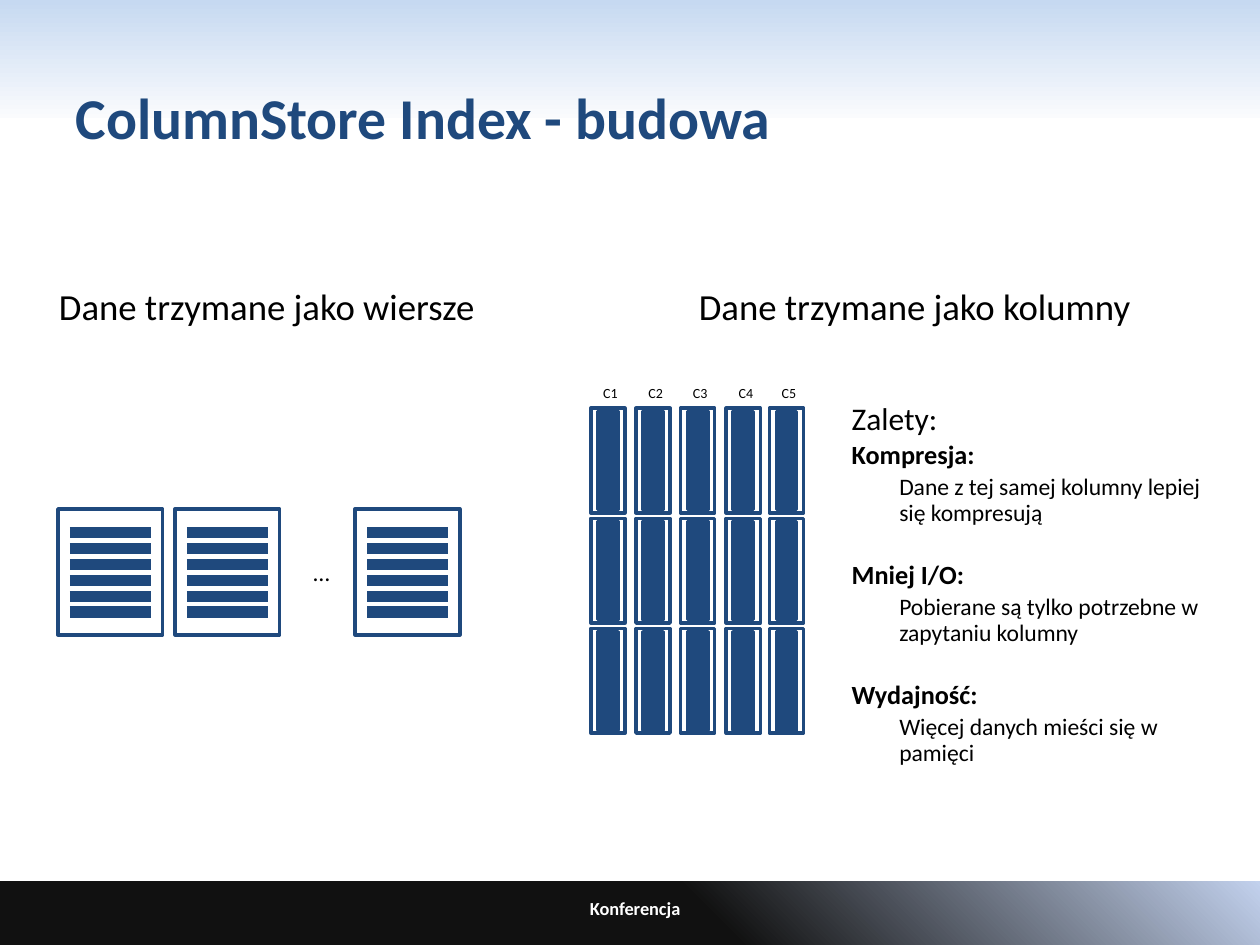
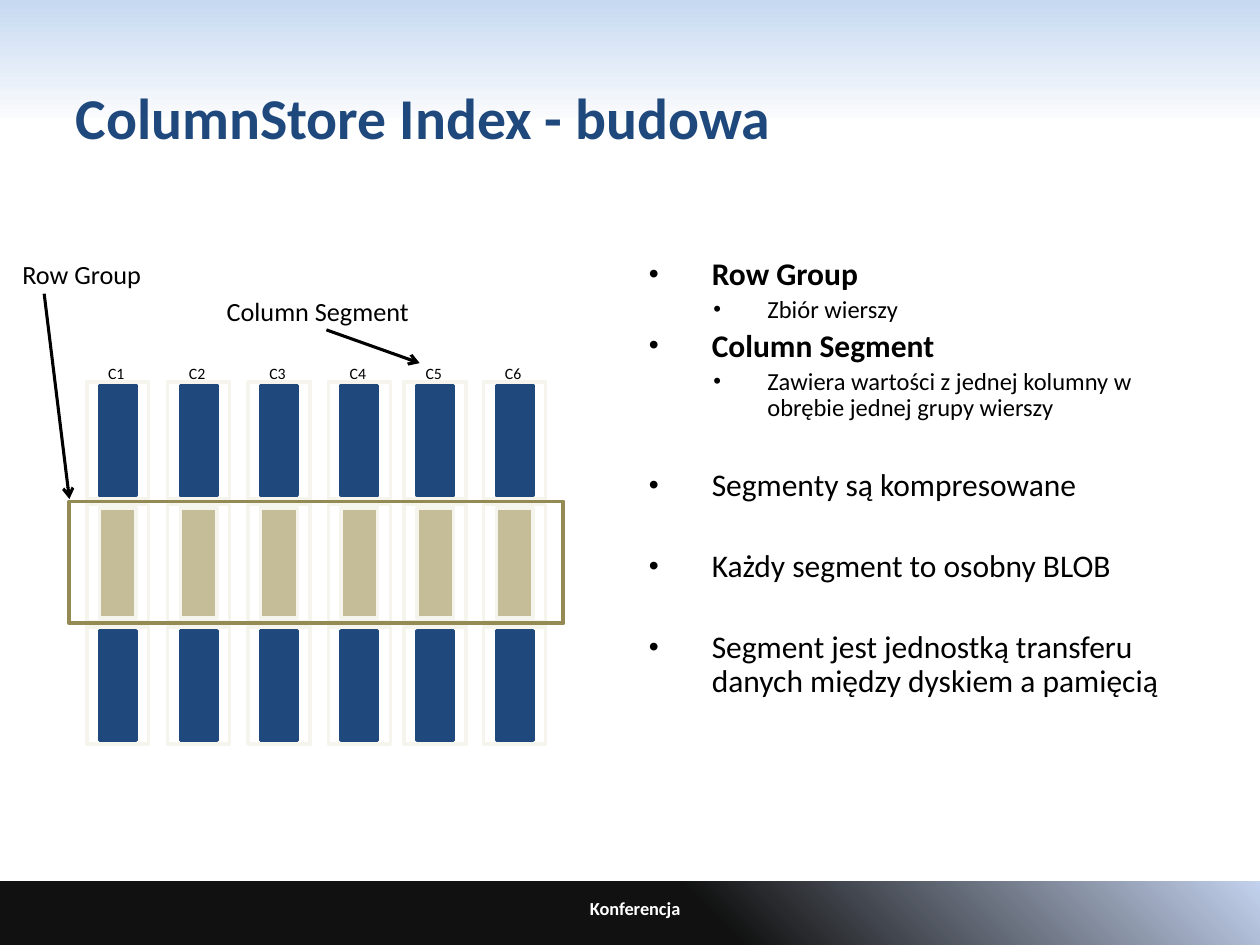
from lxml.etree import SubElement
from pptx import Presentation
from pptx.dml.color import RGBColor
from pptx.enum.shapes import MSO_CONNECTOR, MSO_SHAPE
from pptx.enum.text import MSO_ANCHOR, PP_ALIGN
from pptx.oxml.ns import qn
from pptx.util import Cm, Pt

COLORS = {
    "navy": "1F497D", "tan": "C4BD97", "cream": "F5F4ED", "olive": "948A54",
    "black": "000000", "white": "FFFFFF", "sky": "C6D9F1", "mist": "FAFBFD",
    "ink": "111111", "ice": "C2D1ED",
}


class Deck:
    """Holds the presentation style and the slide being drawn."""

    font = "Calibri"

    def __init__(self):
        self.prs = Presentation()
        self.prs.slide_width, self.prs.slide_height = Cm(25.4), Cm(19.05)
        self.layout = self.prs.slide_layouts[5]
        self.s = None

    def color(self, name):
        """Return the named colour."""
        return RGBColor.from_string(COLORS[name])

    def slide(self, title):
        """Start a slide with its title and footer."""
        first = self.s is None
        self.s = self.prs.slides.add_slide(self.layout)
        if first:
            self.band(0, 2.39, ("sky", "mist"), (0, 1), 270)
            self.band(17.77, 1.28, ("ink", "ice"), (0.56, 1), 45)
        sp = self.s.shapes.title
        sp.left, sp.top, sp.width, sp.height = Cm(1.27), Cm(0.76), Cm(22.86), Cm(3.18)
        sp.text_frame.vertical_anchor = MSO_ANCHOR.MIDDLE
        p = sp.text_frame.paragraphs[0]
        p.alignment = PP_ALIGN.LEFT
        self.run(p, title, 33, True, "navy")
        p = self.label("Konferencja", 7.19, 17.78, 11.23, 1.07, 10.5, True, "white",
                       MSO_ANCHOR.MIDDLE)
        p.alignment = PP_ALIGN.CENTER

    def band(self, top, height, names, positions, angle):
        """Put a full-width gradient band on the shared layout."""
        sp = self.rect(0, top, 25.4, height)
        sp.fill.gradient()
        sp.fill.gradient_angle = angle
        for stop, name, position in zip(sp.fill.gradient_stops, names, positions):
            stop.color.rgb = self.color(name)
            stop.position = position
        self.layout.shapes._spTree.insert(2, sp._element)

    def rect(self, x, y, w, h, fill=None, line=None, weight=2):
        """Add a rectangle."""
        sp = self.s.shapes.add_shape(MSO_SHAPE.RECTANGLE, Cm(x), Cm(y), Cm(w), Cm(h))
        sp.shadow.inherit = False
        if fill:
            sp.fill.solid()
            sp.fill.fore_color.rgb = self.color(fill)
        else:
            sp.fill.background()
        if line:
            sp.line.color.rgb = self.color(line)
            sp.line.width = Pt(weight)
        else:
            sp.line.fill.background()
        return sp

    def line(self, x1, y1, x2, y2, color, weight, arrow=False):
        """Add a straight line, with an arrowhead if asked."""
        c = self.s.shapes.add_connector(MSO_CONNECTOR.STRAIGHT, Cm(x1), Cm(y1), Cm(x2), Cm(y2))
        c.line.color.rgb = self.color(color)
        c.line.width = Pt(weight)
        if arrow:
            SubElement(c.line._get_or_add_ln(), qn("a:tailEnd"), type="arrow")
        SubElement(c._element.spPr, qn("a:effectLst"))

    def run(self, p, text, size, bold=False, color="black"):
        """Add a formatted run."""
        r = p.add_run()
        r.text = text
        r.font.name, r.font.size, r.font.bold = self.font, Pt(size), bold
        r.font.color.rgb = self.color(color)

    def frame(self, x, y, w, h):
        """Add a wrapping text box and return its text frame."""
        tf = self.s.shapes.add_textbox(Cm(x), Cm(y), Cm(w), Cm(h)).text_frame
        tf.word_wrap = True
        return tf

    def label(self, text, x, y, w, h, size, bold=False, color="black", anchor=MSO_ANCHOR.TOP):
        """Add a one-paragraph text and return the paragraph."""
        tf = self.frame(x, y, w, h)
        tf.vertical_anchor = anchor
        p = tf.paragraphs[0]
        self.run(p, text, size, bold, color)
        return p

    def outline(self, x, y, w, h, items, indents, bullet=False):
        """Add two-level text from (level, text, size, bold, gap) items."""
        tf = self.frame(x, y, w, h)
        for i, (level, text, size, bold, gap) in enumerate(items):
            p = tf.add_paragraph() if i else tf.paragraphs[0]
            p.level, p.line_spacing = level, 0.9
            p.space_before = Pt(0.2 * size + gap)
            margin, hanging = indents[level]
            pPr = p._p.get_or_add_pPr()
            pPr.set("marL", str(Cm(margin)))
            pPr.set("indent", str(Cm(-hanging)))
            if bullet:
                SubElement(pPr, qn("a:buSzPct"), val="90000")
                SubElement(pPr, qn("a:buFont"), typeface="Arial")
                SubElement(pPr, qn("a:buChar"), char="•")
            self.run(p, text, size, bold)

    def page(self, x, y):
        """Add a data page filled with rows."""
        self.rect(x, y, 2.11, 2.54, line="navy")
        for i in range(6):
            row_y = y + 0.48 + 0.32 * i
            self.line(x + 0.24, row_y, x + 1.88, row_y, "navy", 6.5)

    def columns(self, lefts, top, step, outer, inner, edge, row_styles, label_y, label_dx, size):
        """Add labelled columns of framed segments."""
        dx, dy = (outer[0] - inner[0]) / 2, (outer[1] - inner[1]) / 2
        for n, x in enumerate(lefts, 1):
            self.label(f"C{n}", x + label_dx, label_y, 1.2, 0.62, size)
            for i, (fill, line) in enumerate(row_styles):
                y = top + i * step
                self.rect(x + dx, y + dy, *inner, fill, line)
                self.rect(x, y, *outer, line=edge)


def storage_slide(deck):
    """Compare row storage with column storage."""
    deck.slide("ColumnStore Index - budowa")
    deck.label("…", 6.07, 11.13, 1, 0.84, 13.5)
    for x in (1.17, 3.53, 7.16):
        deck.page(x, 10.26)
    deck.columns((11.91, 12.82, 13.72, 14.64, 15.51), 8.23, 2.22, (0.69, 2.11), (0.41, 1.98),
                 "navy", [("navy", "navy")] * 3, 7.62, 0, 8)
    deck.outline(16.92, 8, 8, 6.86, [
        (0, "Zalety:", 18, False, 0),
        (0, "Kompresja:", 15, True, 0),
        (1, "Dane z tej samej kolumny lepiej się kompresują", 13.5, False, 0),
        (0, "Mniej I/O:", 15, True, 17.5),
        (1, "Pobierane są tylko potrzebne w zapytaniu kolumny", 13.5, False, 0),
        (0, "Wydajność:", 15, True, 17.5),
        (1, "Więcej danych mieści się w pamięci", 13.5, False, 0),
    ], [(0, 0), (0.96, 0)])
    for text, x in (("Dane trzymane jako wiersze", 0.94), ("Dane trzymane jako kolumny", 13.84)):
        deck.label(text, x, 5.69, 9.58, 0.91, 21).line_spacing = 0.9


def segment_slide(deck):
    """Explain row groups and column segments."""
    deck.slide("ColumnStore Index - budowa")
    deck.columns((1.75, 3.38, 5, 6.62, 8.15, 9.75), 7.7, 2.47, (1.25, 2.36), (0.74, 2.21),
                 "cream", [("navy", "navy"), ("tan", "cream"), ("navy", "navy")], 7.21, 0.18, 9)
    deck.label("Row Group", 0.2, 5.08, 4.37, 0.89, 15)
    deck.line(6.58, 6.65, 8.46, 7.32, "black", 1.75, True)
    deck.rect(1.4, 10.11, 9.96, 2.46, line="olive", weight=2.25)
    deck.line(0.89, 5.92, 1.4, 10.06, "black", 1.75, True)
    deck.label("Column Segment", 4.32, 5.82, 6.48, 0.89, 15)
    deck.outline(12.83, 5.08, 11.3, 6.86, [
        (0, "Row Group", 18, True, 0),
        (1, "Zbiór wierszy", 14, False, 0),
        (0, "Column Segment", 18, True, 0),
        (1, "Zawiera wartości z jednej kolumny w obrębie jednej grupy wierszy", 14, False, 0),
        (0, "Segmenty są kompresowane", 18, False, 23.4),
        (0, "Każdy segment to osobny BLOB", 18, False, 23.4),
        (0, "Segment jest jednostką transferu danych między dyskiem a pamięcią", 18, False, 23.4),
    ], [(1.27, 1.27), (2.39, 1.09)], bullet=True)


def main():
    """Build and save the slides."""
    deck = Deck()
    storage_slide(deck)
    segment_slide(deck)
    deck.prs.save("out.pptx")


if __name__ == "__main__":
    main()
